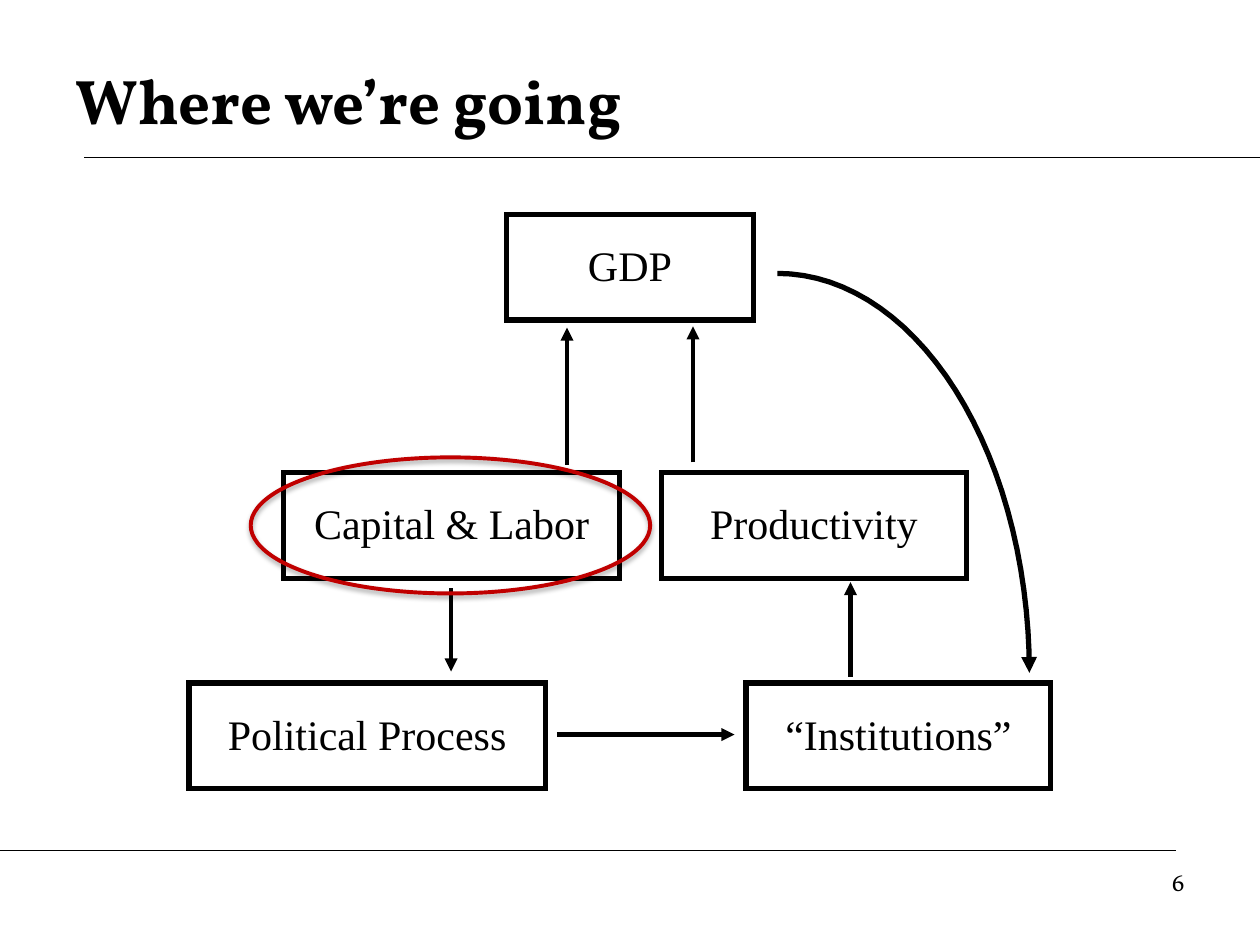
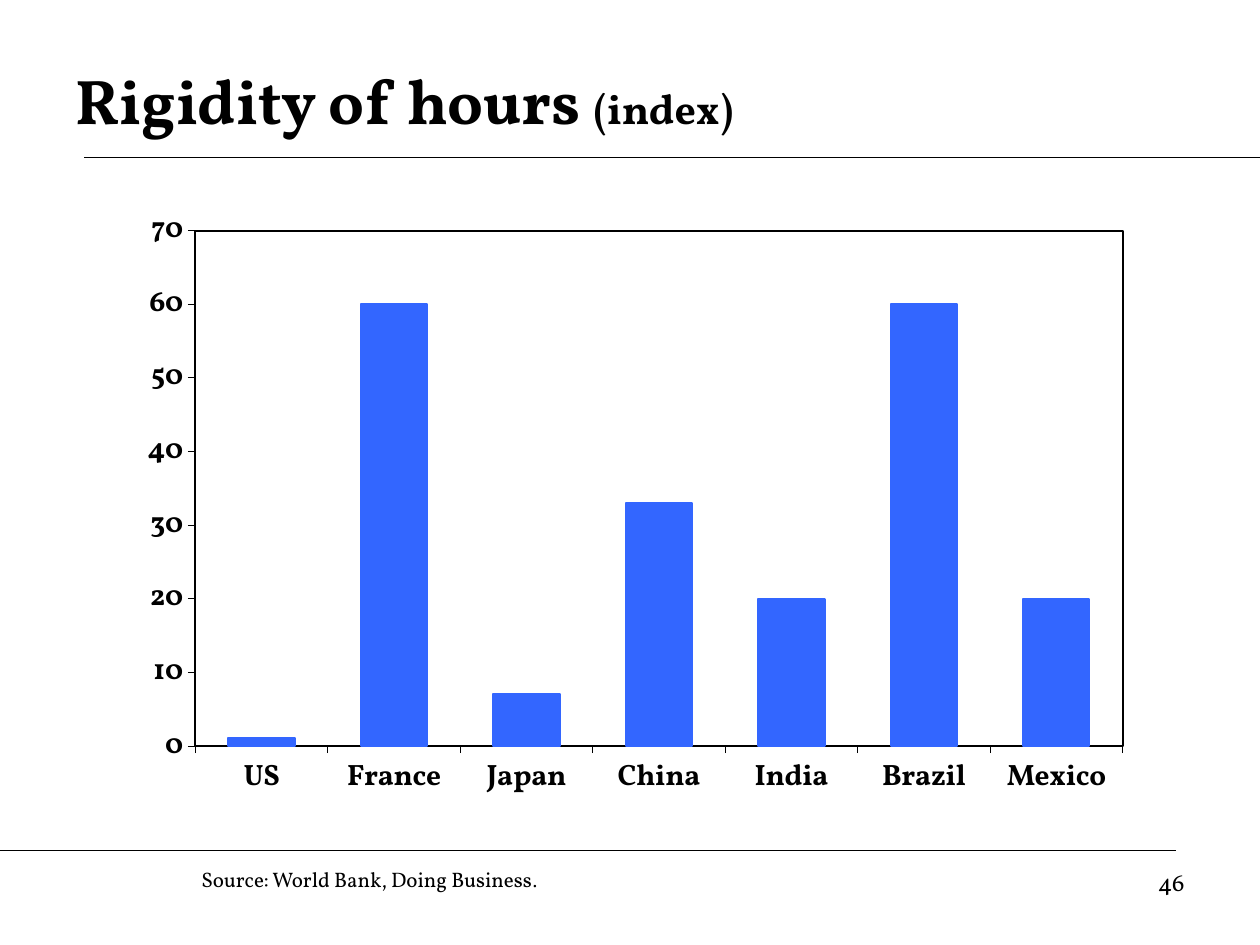
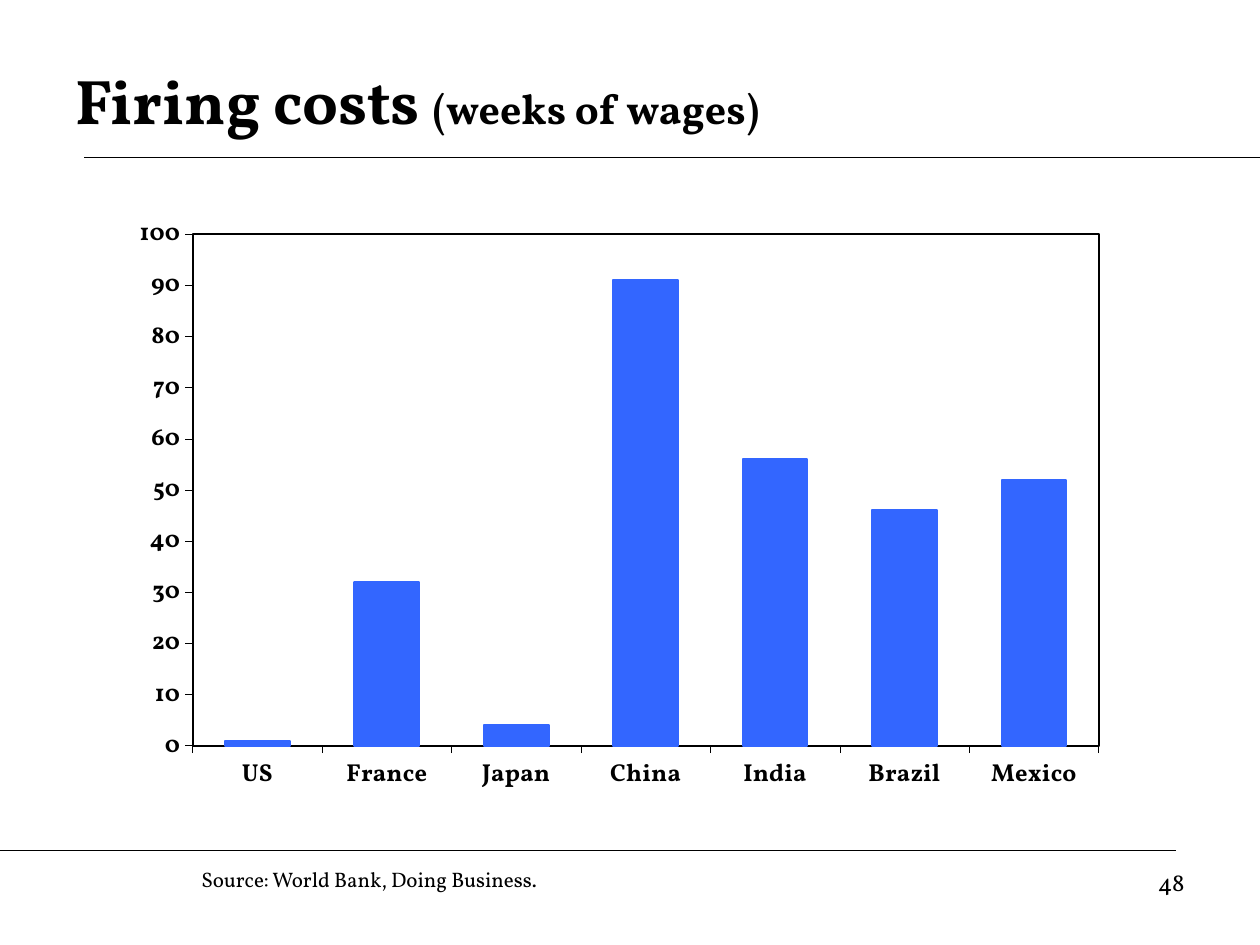
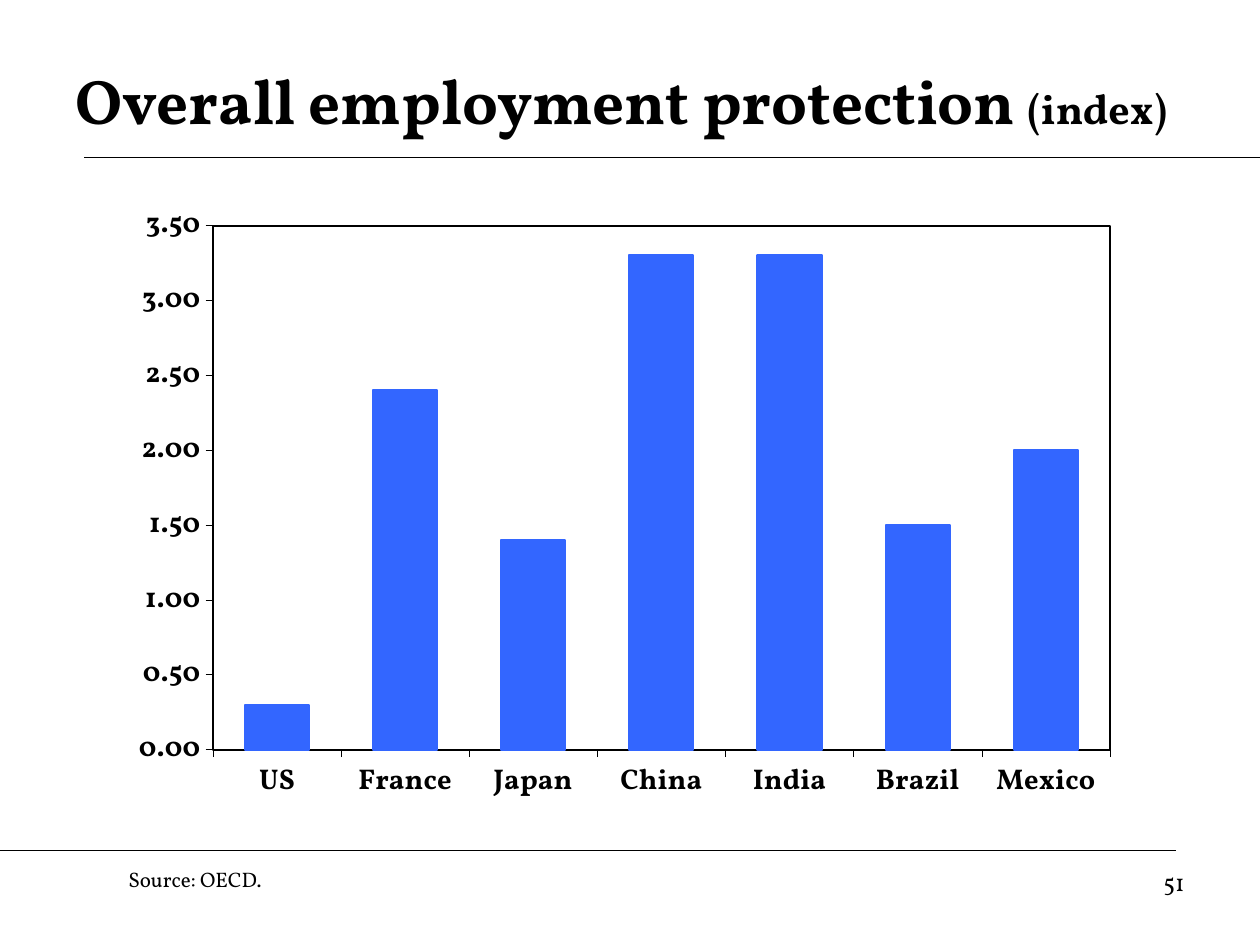
"""Build four lecture slides: a diagram of the course and three bar charts."""
import collections
import math

import lxml.etree
import pptx
import pptx.chart.data
import pptx.dml.color
import pptx.enum.chart
import pptx.enum.shapes
import pptx.enum.text
import pptx.oxml.ns
import pptx.util

Inches = pptx.util.Inches
Pt = pptx.util.Pt
qn = pptx.oxml.ns.qn
Box = collections.namedtuple("Box", "left top width height")

COLORS = {"ink": "000000", "bar": "3366FF", "highlight": "C00000"}
HEADING_FONT = "Vollkorn"
BODY_FONT = "Times New Roman"
SLIDE = Box(0, 0, 10, 7.5)
DIAGRAM = Box(1.5, 1.7, 6.84, 4.56)
COUNTRIES = ["US", "France", "Japan", "China", "India", "Brazil", "Mexico"]

NODE_HEIGHT = 0.84
NODES = [
    ("GDP", 2.52, 0, 1.96),
    ("Capital & Labor", 0.75, 2.05, 2.67),
    ("Productivity", 3.75, 2.05, 2.42),
    ("Political Process", 0, 3.72, 2.83),
    ("“Institutions”", 4.42, 3.72, 2.42),
]
ARROWS = [
    ((3, 1.99), (3, 0.9)),
    ((4, 1.97), (4, 0.89)),
    ((5.25, 3.67), (5.25, 2.92)),
    ((2.92, 4.13), (4.33, 4.13)),
    ((2.08, 2.97), (2.08, 3.63)),
]
FEEDBACK_ARC = Box(4.67, 0.47, 2, 3.17)
FOCUS_RING = Box(0.49, 1.93, 3.17, 1.08)

CHART_PAGES = [
    {
        "title": "Rigidity of hours ", "unit": "(index)", "number": "46",
        "box": Box(0.97, 1.47, 8.04, 5.2), "plot": Box(0.58, 0.36, 7.36, 4.09),
        "values": [1, 60, 7, 33, 20, 60, 20], "top": 70, "step": 10,
        "format": "#,##0", "size": 16.8,
        "source": [("Source: World Bank, Doing Business", {}), (".", {"name": BODY_FONT})],
        "source_box": Box(1.5, 6.83, 7.17, 0.3),
    },
    {
        "title": "Firing costs ", "unit": "(weeks of wages)", "number": "48",
        "box": Box(0.83, 1.5, 7.99, 5.17), "plot": Box(0.7, 0.36, 7.19, 4.06),
        "values": [1, 32, 4, 91, 56, 46, 52], "top": 100, "step": 10,
        "format": "#,##0", "size": 14,
        "source": [("Source: World Bank, Doing Business.", {})],
        "source_box": Box(1.5, 6.83, 7.17, 0.3),
    },
    {
        "title": "Overall employment protection ", "unit": "(index)", "number": "51",
        "box": Box(0.92, 1.42, 7.99, 5.29), "plot": Box(0.77, 0.37, 7.12, 4.16),
        "values": [0.3, 2.4, 1.4, 3.3, 3.3, 1.5, 2], "top": 3.5, "step": 0.5,
        "format": "#,##0.00", "size": 16.3,
        "source": [("Source: OECD.", {})],
        "source_box": Box(0.92, 6.83, 6.83, 0.3),
    },
]


def rgb(name):
    """Return the named colour."""
    return pptx.dml.color.RGBColor.from_string(COLORS[name])


def within(outer, part):
    """Place a part given relative to the outer box."""
    return Box(outer.left + part.left, outer.top + part.top, part.width, part.height)


def in_inches(box):
    """Return the box as four lengths."""
    return [Inches(length) for length in box]


def set_line(line, color, width):
    """Give a line its colour and its width in points."""
    line.color.rgb = rgb(color)
    line.width = Pt(width)


def set_font(font, name, size, bold=False):
    """Set a black font."""
    font.name, font.size, font.bold = name, Pt(size), bold
    font.color.rgb = rgb("ink")


def add_to_outline(shape, tag, **settings):
    """Add a detail such as an arrowhead or a line join to an outline."""
    outline = shape._element.spPr.find(qn("a:ln"))
    lxml.etree.SubElement(outline, qn(tag), **settings)


def add_line(page, start, end, width):
    """Draw a straight black line without shadow."""
    points = [Inches(length) for length in (*start, *end)]
    line = page.shapes.add_connector(pptx.enum.shapes.MSO_CONNECTOR.STRAIGHT, *points)
    set_line(line.line, "ink", width)
    lxml.etree.SubElement(line._element.spPr, qn("a:effectLst"))
    return line


def add_text(page, box, runs, size, bold=False, align="LEFT", anchor="TOP"):
    """Write one paragraph of runs, each with the font settings that differ."""
    frame = page.shapes.add_textbox(*in_inches(box)).text_frame
    frame.word_wrap = True
    frame.vertical_anchor = pptx.enum.text.MSO_ANCHOR[anchor]
    para = frame.paragraphs[0]
    para.alignment = pptx.enum.text.PP_ALIGN[align]
    set_font(para.font, HEADING_FONT, size, bold)
    for text, changes in runs:
        span = para.add_run()
        span.text = text
        for setting, value in changes.items():
            setattr(span.font, setting, value)


def add_page(deck, box, title_runs, number):
    """Add a page with its title, two rules and page number."""
    page = deck.slides.add_slide(deck.slide_layouts[6])
    right = box.left + box.width
    add_line(page, (box.left + 0.67, box.top + 1.25), (right, box.top + 1.25), 0.75)
    add_line(page, (box.left, box.top + 6.75), (right - 0.67, box.top + 6.75), 0.75)
    add_text(page, within(box, Box(0.5, 0.33, 9.17, 0.92)), title_runs, 36,
             bold=True, anchor="MIDDLE")
    add_text(page, within(box, Box(7.17, 6.83, 2.33, 0.52)), [(number, {})], 14, align="RIGHT")
    return page


def add_outline(page, kind, box, color, width):
    """Draw an unfilled preset shape."""
    shape = page.shapes.add_shape(pptx.enum.shapes.MSO_SHAPE[kind], *in_inches(box))
    shape.shadow.inherit = False
    shape.fill.background()
    set_line(shape.line, color, width)
    return shape


def add_node(page, box, label):
    """Draw a labelled box of the diagram."""
    node = add_outline(page, "RECTANGLE", box, "ink", 3)
    add_to_outline(node, "a:miter", lim="800000")
    frame = node.text_frame
    frame.word_wrap = True
    frame.vertical_anchor = pptx.enum.text.MSO_ANCHOR.TOP
    frame.margin_left = frame.margin_right = Inches(0.2)
    frame.margin_top = frame.margin_bottom = Inches(0.2)
    para = frame.paragraphs[0]
    para.text = label
    para.alignment = pptx.enum.text.PP_ALIGN.CENTER
    set_font(para.font, BODY_FONT, 24)


def add_arc(page, box, steps=30):
    """Draw a quarter ellipse from the top left to an arrow at the bottom right."""
    angles = [math.pi / 2 * step / steps for step in range(steps + 1)]
    points = [(Inches(box.left + box.width * math.sin(angle)),
               Inches(box.top + box.height * (1 - math.cos(angle)))) for angle in angles]
    builder = page.shapes.build_freeform(*points[0])
    builder.add_line_segments(points[1:], close=False)
    arc = builder.convert_to_shape()
    arc.shadow.inherit = False
    arc.fill.background()
    set_line(arc.line, "ink", 3)
    add_to_outline(arc, "a:tailEnd", type="triangle")


def add_ring(page, box):
    """Draw the red ring with a soft shadow below it."""
    ring = add_outline(page, "OVAL", box, "highlight", 2.25)
    effects = ring._element.spPr.find(qn("a:effectLst"))
    shadow = lxml.etree.SubElement(
        effects, qn("a:outerShdw"), blurRad=str(Pt(3.1)), dist=str(Pt(1.8)),
        dir="5400000", rotWithShape="0")
    color = lxml.etree.SubElement(shadow, qn("a:srgbClr"), val=COLORS["ink"])
    lxml.etree.SubElement(color, qn("a:alpha"), val="35000")


def add_diagram(page, box):
    """Draw the boxes, arrows and ring of the course diagram."""
    for label, left, top, width in NODES:
        add_node(page, within(box, Box(left, top, width, NODE_HEIGHT)), label)
    for ends in ARROWS:
        start, end = [(box.left + x, box.top + y) for x, y in ends]
        add_to_outline(add_line(page, start, end, 2.5), "a:tailEnd", type="triangle")
    add_arc(page, within(box, FEEDBACK_ARC))
    add_ring(page, within(box, FOCUS_RING))


def frame_plot(chart, box, plot, width):
    """Fix the inner plot area within the chart box and frame it in black."""
    area = chart._chartSpace.find(".//" + qn("c:plotArea"))
    old_layout = area.find(qn("c:layout"))
    if old_layout is not None:
        area.remove(old_layout)
    layout = lxml.etree.Element(qn("c:layout"))
    area.insert(0, layout)
    manual = lxml.etree.SubElement(layout, qn("c:manualLayout"))
    shares = [plot.left / box.width, plot.top / box.height,
              plot.width / box.width, plot.height / box.height]
    settings = [("layoutTarget", "inner"), ("xMode", "edge"), ("yMode", "edge"),
                *zip("xywh", shares)]
    for tag, value in settings:
        lxml.etree.SubElement(manual, qn("c:" + tag), val=str(value))
    properties = lxml.etree.SubElement(area, qn("c:spPr"))
    lxml.etree.SubElement(properties, qn("a:noFill"))
    outline = lxml.etree.SubElement(properties, qn("a:ln"), w=str(Pt(width)))
    fill = lxml.etree.SubElement(outline, qn("a:solidFill"))
    lxml.etree.SubElement(fill, qn("a:srgbClr"), val=COLORS["ink"])


def add_column_chart(page, box, content):
    """Draw the column chart of the countries."""
    data = pptx.chart.data.CategoryChartData()
    data.categories = COUNTRIES
    data.add_series("Series 1", content["values"])
    kind = pptx.enum.chart.XL_CHART_TYPE.COLUMN_CLUSTERED
    chart = page.shapes.add_chart(kind, *in_inches(box), data).chart
    chart.has_legend = chart.has_title = False
    size = content["size"]
    set_font(chart.font, BODY_FONT, round(size * 9 / 7, 1), bold=True)
    for axis in (chart.category_axis, chart.value_axis):
        axis.has_major_gridlines = False
        axis.major_tick_mark = pptx.enum.chart.XL_TICK_MARK.OUTSIDE
        axis.minor_tick_mark = pptx.enum.chart.XL_TICK_MARK.NONE
        set_font(axis.tick_labels.font, HEADING_FONT, size, bold=True)
        set_line(axis.format.line, "ink", 0.3)
    scale = chart.value_axis
    scale.minimum_scale, scale.maximum_scale = 0, content["top"]
    scale.major_unit = content["step"]
    scale.tick_labels.number_format = content["format"]
    scale.tick_labels.number_format_is_linked = False
    columns = chart.plots[0]
    columns.gap_width = 100
    columns.vary_by_categories = False
    series = columns.series[0]
    series.format.fill.solid()
    series.format.fill.fore_color.rgb = rgb("bar")
    set_line(series.format.line, "bar", 1.2)
    frame_plot(chart, box, content["plot"], 1.2)


def add_chart_page(deck, box, content):
    """Add a page with a chart and its source."""
    title_runs = [(content["title"], {}), (content["unit"], {"size": Pt(24)})]
    page = add_page(deck, box, title_runs, content["number"])
    for left, right, height in ((1.25, 10, 1.25), (0, 7.08, 6.75)):
        add_line(page, (box.left + left, box.top + height),
                 (box.left + right, box.top + height), 0.75)
    add_column_chart(page, within(box, content["box"]), content)
    add_text(page, within(box, content["source_box"]), content["source"], 12)


def main():
    """Build and save the deck."""
    deck = pptx.Presentation()
    deck.slide_width, deck.slide_height = Inches(SLIDE.width), Inches(SLIDE.height)
    add_diagram(add_page(deck, SLIDE, [("Where we’re going", {})], "6"), DIAGRAM)
    for content in CHART_PAGES:
        add_chart_page(deck, SLIDE, content)
    deck.save("out.pptx")


if __name__ == "__main__":
    main()
